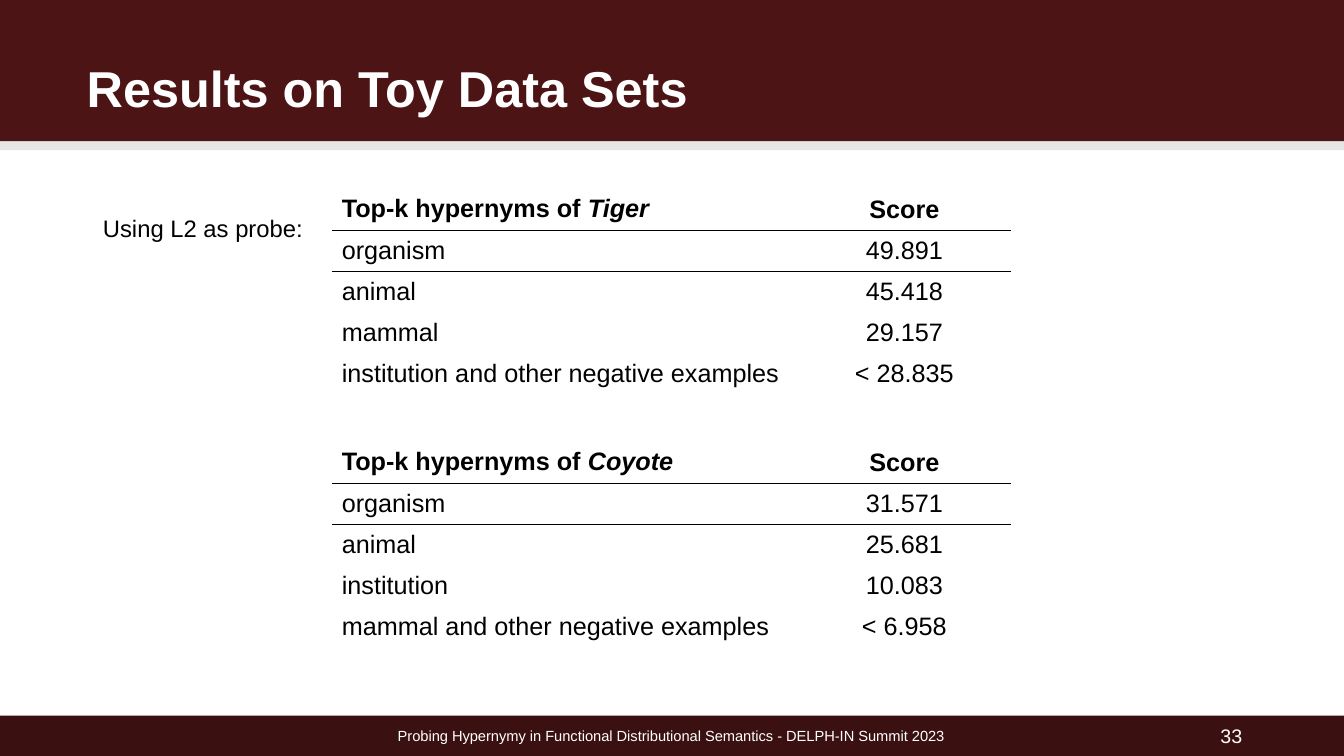
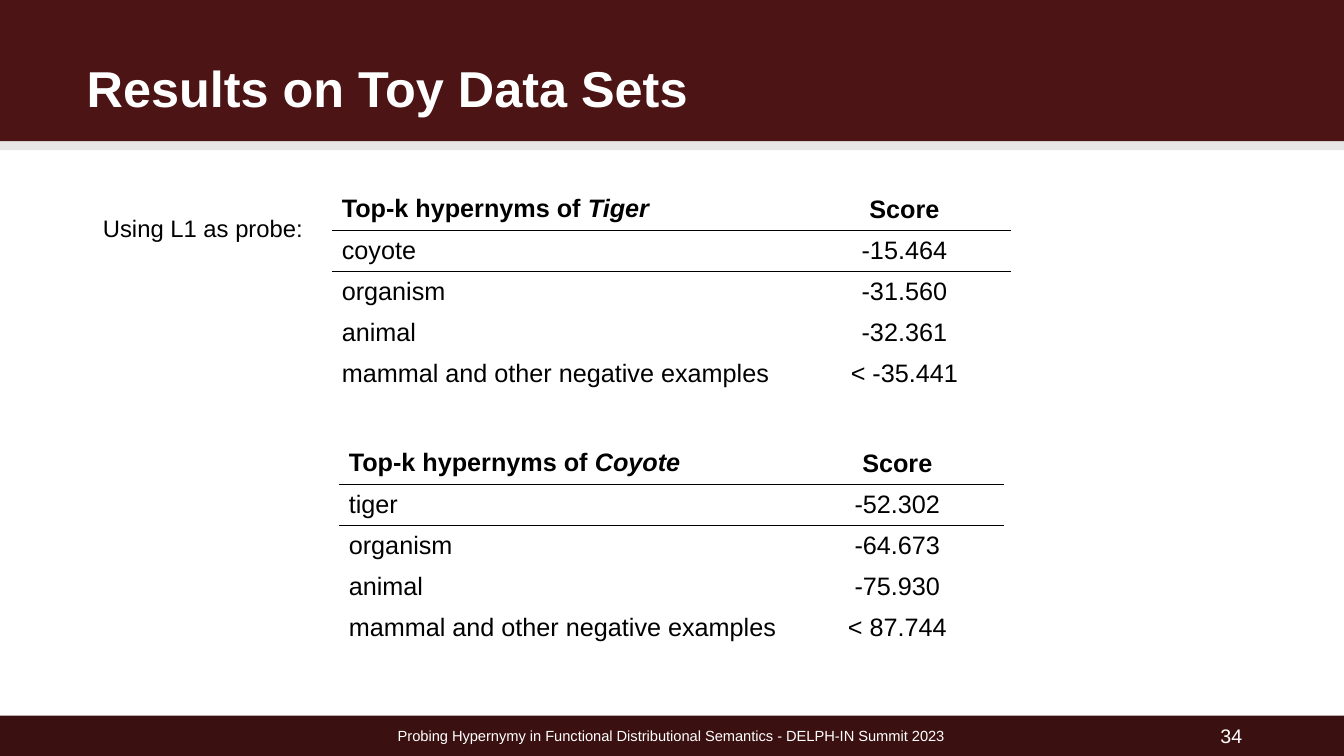
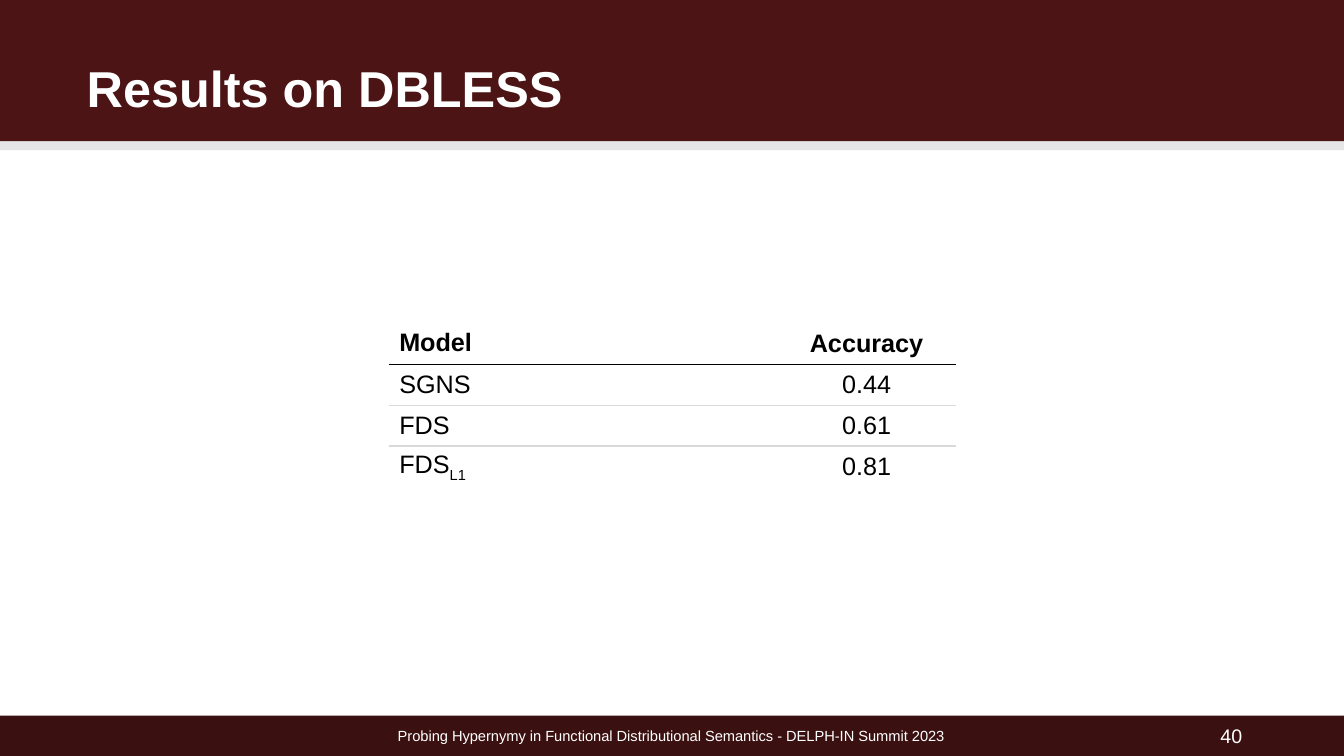
"""Build three result slides with shared bands, titles and footers."""
import lxml.etree
import pptx
import pptx.dml.color
import pptx.enum.shapes
import pptx.enum.text
import pptx.oxml.ns
import pptx.util

Inches = pptx.util.Inches
Pt = pptx.util.Pt
ALIGN = pptx.enum.text.PP_ALIGN
ANCHOR = pptx.enum.text.MSO_ANCHOR
qn = pptx.oxml.ns.qn

WIDTH, HEIGHT = 13.33, 7.5
FONT = "Arial"
BLACK, WHITE, RULE_GREY = "000000", "FFFFFF", "D9D9D9"
BANDS = [
    (0.09, 1.4, "E6E6E6"),
    (0, 1.4, "4C1414"),
    (7.1, 0.4, "3B1010"),
]
FOOTER = "Probing Hypernymy in Functional Distributional Semantics - DELPH-IN Summit 2023"
PLAIN_TABLE_STYLE = "{2D5ABB26-0587-4C30-8999-92F81FD0307C}"
TITLE_AND_CONTENT, TITLE_ONLY = 1, 5


def color(value):
    """Turn a hex string into a colour."""
    return pptx.dml.color.RGBColor.from_string(value)


def place(shape, left, top, width, height):
    """Move and size a shape in inches."""
    shape.left, shape.top = Inches(left), Inches(top)
    shape.width, shape.height = Inches(width), Inches(height)


def add_run(paragraph, text, size, hex_color=BLACK, bold=False, italic=False, subscript=False):
    """Append one formatted run."""
    run = paragraph.add_run()
    run.text = text
    run.font.name, run.font.size = FONT, Pt(size)
    run.font.bold, run.font.italic = bold, italic
    run.font.color.rgb = color(hex_color)
    if subscript:
        run._r.get_or_add_rPr().set("baseline", "-25000")


def prepare_frame(shape, anchor, align, line_spacing=1.0):
    """Set up a text frame and return its first paragraph."""
    frame = shape.text_frame
    frame.word_wrap = True
    frame.auto_size = pptx.enum.text.MSO_AUTO_SIZE.NONE
    frame.vertical_anchor = anchor
    paragraph = frame.paragraphs[0]
    paragraph.alignment = align
    paragraph.line_spacing = line_spacing
    paragraph.space_before = Pt(0)
    return paragraph


def add_master_bands(presentation, slide):
    """Draw the bands and move them to the back of the master."""
    master_tree = presentation.slide_master.shapes.element
    for position, (top, height, fill) in enumerate(BANDS, start=2):
        band = slide.shapes.add_shape(
            pptx.enum.shapes.MSO_SHAPE.RECTANGLE,
            Inches(0), Inches(top), Inches(WIDTH), Inches(height))
        band.shadow.inherit = False
        band.fill.solid()
        band.fill.fore_color.rgb = color(fill)
        band.line.fill.background()
        master_tree.insert(position, band.element)


def add_footer_text(slide, text, left, width, size, align):
    """Add white text on the bottom band."""
    box = slide.shapes.add_textbox(Inches(left), Inches(7.15), Inches(width), Inches(0.29))
    add_run(prepare_frame(box, ANCHOR.MIDDLE, align), text, size, WHITE)


def add_slide(presentation, layout, title, number):
    """Add a slide with its title, footer and number."""
    slide = presentation.slides.add_slide(presentation.slide_layouts[layout])
    place(slide.shapes.title, 0.76, 0.41, 11.81, 0.99)
    paragraph = prepare_frame(slide.shapes.title, ANCHOR.MIDDLE, ALIGN.LEFT, 0.9)
    add_run(paragraph, title, 36, WHITE, bold=True)
    add_footer_text(slide, FOOTER, 3.77, 5.78, 10.5, ALIGN.CENTER)
    add_footer_text(slide, str(number), 9.74, 2.68, 14, ALIGN.RIGHT)
    return slide


def fill_body(slide, text):
    """Write an unbulleted line in the body placeholder."""
    body = slide.placeholders[1]
    place(body, 0.92, 2, 7.41, 4.76)
    paragraph = prepare_frame(body, ANCHOR.TOP, ALIGN.LEFT, 1.25)
    properties = paragraph._p.get_or_add_pPr()
    properties.set("marL", "0")
    properties.set("indent", "0")
    lxml.etree.SubElement(properties, qn("a:buNone"))
    add_run(paragraph, text, 17)


def set_borders(cell, borders):
    """Put 1 pt lines on the given sides, listed in schema order."""
    properties = cell._tc.get_or_add_tcPr()
    for position, (side, hex_color) in enumerate(borders):
        line = lxml.etree.Element(qn("a:ln" + side), w=str(Pt(1)))
        fill = lxml.etree.SubElement(line, qn("a:solidFill"))
        lxml.etree.SubElement(fill, qn("a:srgbClr"), val=hex_color)
        properties.insert(position, line)


def add_table(slide, left, top, column_widths, rows, rules, height):
    """Add a plain table; rules maps a row index to the line colour below it."""
    frame = slide.shapes.add_table(
        len(rows), len(column_widths),
        Inches(left), Inches(top), Inches(sum(column_widths)), Inches(height))
    table = frame.table
    table.first_row = table.horz_banding = False
    next(frame.element.iter(qn("a:tableStyleId"))).text = PLAIN_TABLE_STYLE
    for column, width in zip(table.columns, column_widths):
        column.width = Inches(width)
    for row_index, row in enumerate(rows):
        borders = [(side, rules[index])
                   for side, index in (("T", row_index - 1), ("B", row_index))
                   if index in rules]
        for column_index, spans in enumerate(row):
            cell = table.cell(row_index, column_index)
            is_corner = row_index == column_index == 0
            cell.vertical_anchor = ANCHOR.TOP if is_corner else ANCHOR.MIDDLE
            cell.fill.background()
            set_borders(cell, borders)
            paragraph = cell.text_frame.paragraphs[0]
            paragraph.alignment = ALIGN.CENTER if column_index else ALIGN.LEFT
            for text, style in ([(spans, {})] if isinstance(spans, str) else spans):
                add_run(paragraph, text, 18, bold=row_index == 0, **style)


def add_hypernym_table(slide, word, scores, left, top, name_width):
    """Add the ranked hypernyms of one word."""
    heading = [("Top-k hypernyms of ", {}), (word, {"italic": True})]
    add_table(slide, left, top, [name_width, 2.12],
              [(heading, "Score"), *scores], {0: BLACK}, 2.03)


def add_probe_slide(presentation, number, probe, tables):
    """Add a slide with the hypernym tables of one probe."""
    slide = add_slide(presentation, TITLE_AND_CONTENT, "Results on Toy Data Sets", number)
    for table in tables:
        add_hypernym_table(slide, *table)
    fill_body(slide, f"Using {probe} as probe:")
    return slide


def main():
    """Build and save the presentation."""
    presentation = pptx.Presentation()
    presentation.slide_width, presentation.slide_height = Inches(WIDTH), Inches(HEIGHT)

    first_slide = add_probe_slide(presentation, 33, "L2", [
        ("Tiger", [
            ("organism", "49.891"),
            ("animal", "45.418"),
            ("mammal", "29.157"),
            ("institution and other negative examples", "< 28.835"),
        ], 3.29, 1.88, 4.62),
        ("Coyote", [
            ("organism", "31.571"),
            ("animal", "25.681"),
            ("institution", "10.083"),
            ("mammal and other negative examples", "< 6.958"),
        ], 3.29, 4.39, 4.62),
    ])
    add_master_bands(presentation, first_slide)

    add_probe_slide(presentation, 34, "L1", [
        ("Tiger", [
            ("coyote", "-15.464"),
            ("organism", "-31.560"),
            ("animal", "-32.361"),
            ("mammal and other negative examples", "< -35.441"),
        ], 3.29, 1.88, 4.62),
        ("Coyote", [
            ("tiger", "-52.302"),
            ("organism", "-64.673"),
            ("animal", "-75.930"),
            ("mammal and other negative examples", "< 87.744"),
        ], 3.36, 4.4, 4.48),
    ])

    accuracy_slide = add_slide(presentation, TITLE_ONLY, "Results on DBLESS", 40)
    add_table(accuracy_slide, 3.86, 3.21, [3.85, 1.77], [
        ("Model", "Accuracy"),
        ("SGNS", "0.44"),
        ("FDS", "0.61"),
        ([("FDS", {}), ("L1", {"subscript": True})], "0.81"),
    ], {0: BLACK, 1: RULE_GREY}, 1.62)

    presentation.save("out.pptx")


if __name__ == "__main__":
    main()
